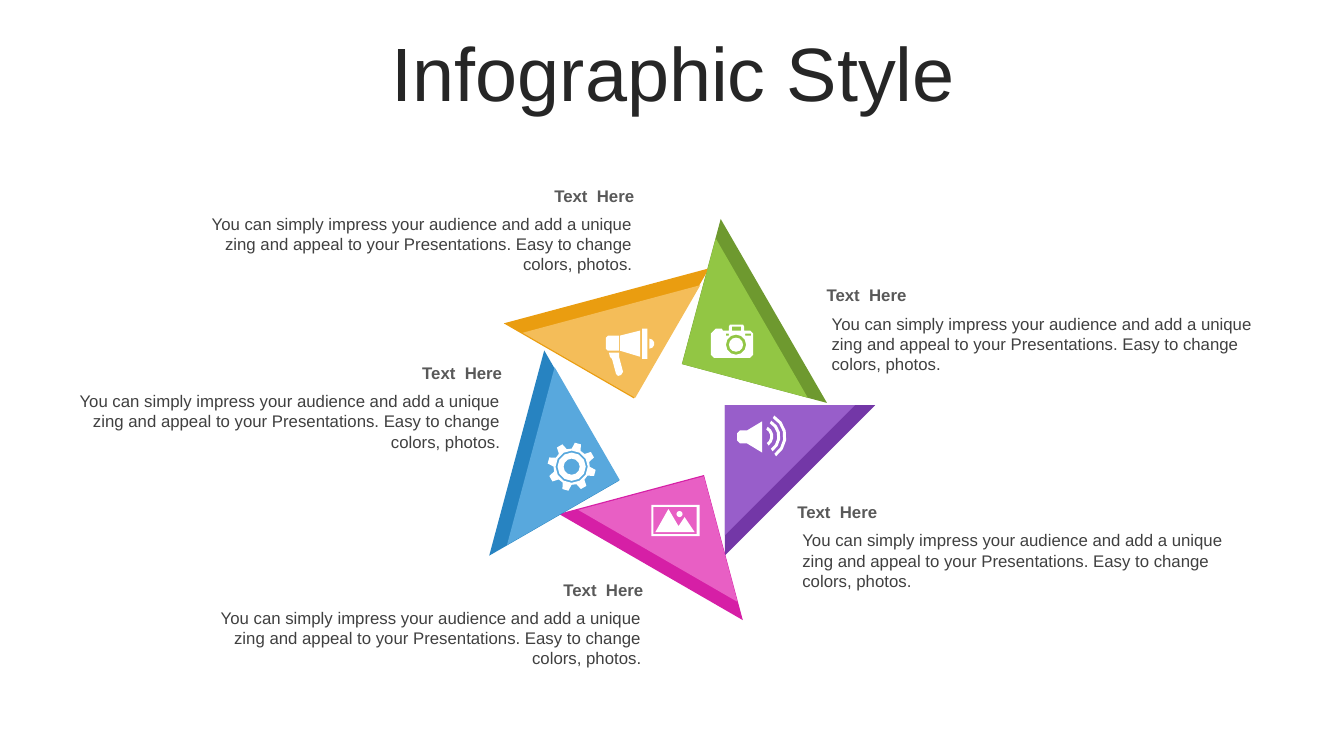
"""Build a one-slide infographic: a pinwheel of five blades with icons and captions."""
from dataclasses import dataclass
from math import cos, radians, sin

from pptx import Presentation
from pptx import util as u
from pptx.dml.color import RGBColor
from pptx.enum import shapes, text

Point = tuple[float, float]
Contour = list[Point]

WHITE = RGBColor(0xFF, 0xFF, 0xFF)
TITLE_INK = RGBColor(0x26, 0x26, 0x26)
HEADING_INK = RGBColor(0x59, 0x59, 0x59)
BODY_INK = RGBColor(0x40, 0x40, 0x40)
GREEN, DARK_GREEN = RGBColor(0x92, 0xC6, 0x44), RGBColor(0x6E, 0x99, 0x2F)
PURPLE, DARK_PURPLE = RGBColor(0x98, 0x5E, 0xCA), RGBColor(0x73, 0x37, 0xA7)
PINK, DARK_PINK = RGBColor(0xE8, 0x5F, 0xC4), RGBColor(0xD6, 0x1F, 0xA6)
BLUE, DARK_BLUE = RGBColor(0x58, 0xA8, 0xDD), RGBColor(0x27, 0x83, 0xC1)
ORANGE, DARK_ORANGE = RGBColor(0xF4, 0xBD, 0x59), RGBColor(0xEA, 0x9D, 0x10)

FONT = "Arial"
EDGE_SIZE, FACE_SIZE = 1.49, 1.29
HEADING = "Text  Here"
BODY = ("You can simply impress your audience and add a unique zing and appeal "
        "to your Presentations. Easy to change colors, photos.")
LEFT, RIGHT, CENTER = text.PP_ALIGN.LEFT, text.PP_ALIGN.RIGHT, text.PP_ALIGN.CENTER


@dataclass
class Blade:
    """One pinwheel blade with its caption and icon outline."""
    turn: float
    edge_at: Point
    face_at: Point
    edge_color: RGBColor
    face_color: RGBColor
    body_at: Point
    align: text.PP_ALIGN
    icon: list[Contour]


def polar(center: Point, radius: float, angle: float) -> Point:
    """Return the point at an angle in degrees, clockwise from the right."""
    return (center[0] + radius * cos(radians(angle)), center[1] + radius * sin(radians(angle)))


def arc(center: Point, radius: float, start: float, end: float, steps: int = 5) -> Contour:
    """Return points along an arc."""
    return [polar(center, radius, start + (end - start) * i / steps) for i in range(steps + 1)]


def circle(center: Point, radius: float) -> Contour:
    """Return a full circle as a twelve-sided outline."""
    return arc(center, radius, 0, 330, 11)


def box(left: float, top: float, right: float, bottom: float) -> Contour:
    """Return a rectangle."""
    return [(left, top), (right, top), (right, bottom), (left, bottom)]


def camera() -> list[Contour]:
    """Return the camera outline."""
    body = [(7.24, 3.22), (7.37, 3.22), (7.38, 3.24), (7.38, 3.28),
            (7.44, 3.28), (7.47, 3.31), (7.47, 3.52), (7.44, 3.55),
            (7.08, 3.55), (7.05, 3.52), (7.05, 3.31), (7.08, 3.28),
            (7.1, 3.26), (7.16, 3.26), (7.17, 3.28), (7.23, 3.28), (7.23, 3.24)]
    lens = (7.3, 3.42)
    return [body, box(7.26, 3.24, 7.35, 3.28), box(7.2, 3.31, 7.23, 3.33),
            box(7.39, 3.31, 7.45, 3.33), circle(lens, 0.1), circle(lens, 0.07)]


def speaker() -> list[Contour]:
    """Return the loudspeaker with three sound waves."""
    horn = [(7.56, 4.18), (7.56, 4.49), (7.41, 4.4), (7.34, 4.4), (7.31, 4.37),
            (7.31, 4.3), (7.34, 4.27), (7.41, 4.27)]
    source = (7.56, 4.33)
    waves = [arc(source, r, -60, 55) + arc(source, r - 0.03, 55, -60)
             for r in (0.11, 0.18, 0.24)]
    return [horn, *waves]


def landscape() -> list[Contour]:
    """Return the framed mountains and sun."""
    peaks = [(6.63, 5.05), (6.73, 5.22), (6.79, 5.13), (6.89, 5.28), (6.5, 5.28)]
    return [box(6.46, 5.01, 6.94, 5.32), box(6.48, 5.03, 6.91, 5.3), peaks,
            circle((6.74, 5.1), 0.03)]


def gear() -> list[Contour]:
    """Return the eight-toothed gear."""
    hub = (5.67, 4.63)
    profile = [(0.18, -14.5), (0.24, -7.5), (0.24, 7.5), (0.18, 14.5)]
    teeth = [polar(hub, r, 15 + 45 * i + a) for i in range(8) for r, a in profile]
    return [teeth, *(circle(hub, r) for r in (0.16, 0.14, 0.08))]


def megaphone() -> list[Contour]:
    """Return the megaphone outline."""
    handle = [(6.04, 3.5), (6.14, 3.5), (6.14, 3.54), (6.18, 3.69), (6.16, 3.72),
              (6.13, 3.73), (6.11, 3.71), (6.07, 3.56), (6.05, 3.54)]
    cone = [(6.35, 3.28), (6.35, 3.54), (6.15, 3.48), (6.15, 3.33)]
    back = [(6.03, 3.33), (6.14, 3.33), (6.14, 3.48), (6.03, 3.48), (6.01, 3.46), (6.01, 3.35)]
    return [handle, cone, back, box(6.37, 3.26, 6.42, 3.56), arc((6.44, 3.41), 0.05, -90, 90)]


BLADES = [
    Blade(15, (6.93, 2.34), (6.91, 2.51), DARK_GREEN, GREEN, (8.15, 3.06), LEFT, camera()),
    Blade(90, (7.19, 4.02), (7.19, 4.02), DARK_PURPLE, PURPLE, (7.86, 5.21), LEFT, speaker()),
    Blade(165, (5.71, 4.88), (5.88, 4.87), DARK_PINK, PINK, (2, 5.98), RIGHT, landscape()),
    Blade(240, (4.38, 3.75), (4.62, 3.88), DARK_BLUE, BLUE, (0.6, 3.83), RIGHT, gear()),
    Blade(300, (5.27, 2.19), (5.42, 2.42), DARK_ORANGE, ORANGE, (1.91, 2.07), RIGHT, megaphone()),
]


def paint(shape, color: RGBColor) -> None:
    """Give a shape a flat fill without line or shadow."""
    shape.shadow.inherit = False
    shape.fill.solid()
    shape.fill.fore_color.rgb = color
    shape.line.fill.background()


def add_triangle(slide, at: Point, size: float, turn: float, color: RGBColor) -> None:
    """Draw a turned right triangle."""
    triangle = slide.shapes.add_shape(shapes.MSO_SHAPE.RIGHT_TRIANGLE, u.Inches(at[0]),
                                      u.Inches(at[1]), u.Inches(size), u.Inches(size))
    triangle.rotation = turn
    paint(triangle, color)


def add_icon(slide, contours: list[Contour]) -> None:
    """Draw all contours as one white outline, nested ones as holes."""
    outlines = [[(u.Inches(x), u.Inches(y)) for x, y in contour] for contour in contours]
    builder = slide.shapes.build_freeform(*outlines[0][0])
    for i, outline in enumerate(outlines):
        if i:
            builder.move_to(*outline[0])
        builder.add_line_segments(outline[1:], close=True)
    paint(builder.convert_to_shape(), WHITE)


def add_text(parent, at: Point, size: Point, words: str, points: float, color: RGBColor,
             align: text.PP_ALIGN, bold: bool = False):
    """Add a wrapped text box and return its frame."""
    frame = parent.shapes.add_textbox(*(u.Inches(n) for n in (*at, *size))).text_frame
    frame.word_wrap = True
    frame.text = words
    paragraph = frame.paragraphs[0]
    paragraph.alignment = align
    font = paragraph.runs[0].font
    font.name, font.size, font.bold = FONT, u.Pt(points), bold
    font.color.rgb = color
    return frame


def add_caption(slide, blade: Blade) -> None:
    """Add a grouped heading and body."""
    group = slide.shapes.add_group_shape()
    x, y = blade.body_at
    body = add_text(group, (x, y), (4.46, 0.71), BODY, 12, BODY_INK, blade.align)
    heading = add_text(group, (x - 0.05, y - 0.28), (4.53, 0.3), HEADING, 12, HEADING_INK,
                       blade.align, True)
    for frame in (body, heading):
        frame.auto_size = text.MSO_AUTO_SIZE.SHAPE_TO_FIT_TEXT


def main() -> None:
    """Build and save the slide."""
    deck = Presentation()
    deck.slide_width, deck.slide_height = u.Inches(13.33), u.Inches(7.5)
    slide = deck.slides.add_slide(deck.slide_layouts[6])
    title = add_text(slide, (0.35, 0.37), (12.66, 0.79), "Infographic Style", 54, TITLE_INK, CENTER)
    title.vertical_anchor = text.MSO_ANCHOR.MIDDLE
    title.paragraphs[0].line_spacing = 0.9
    for blade in BLADES:
        add_triangle(slide, blade.edge_at, EDGE_SIZE, blade.turn, blade.edge_color)
    for blade in BLADES:
        add_triangle(slide, blade.face_at, FACE_SIZE, blade.turn, blade.face_color)
    for blade in BLADES:
        add_caption(slide, blade)
    for blade in BLADES:
        add_icon(slide, blade.icon)
    deck.save("out.pptx")


if __name__ == "__main__":
    main()
